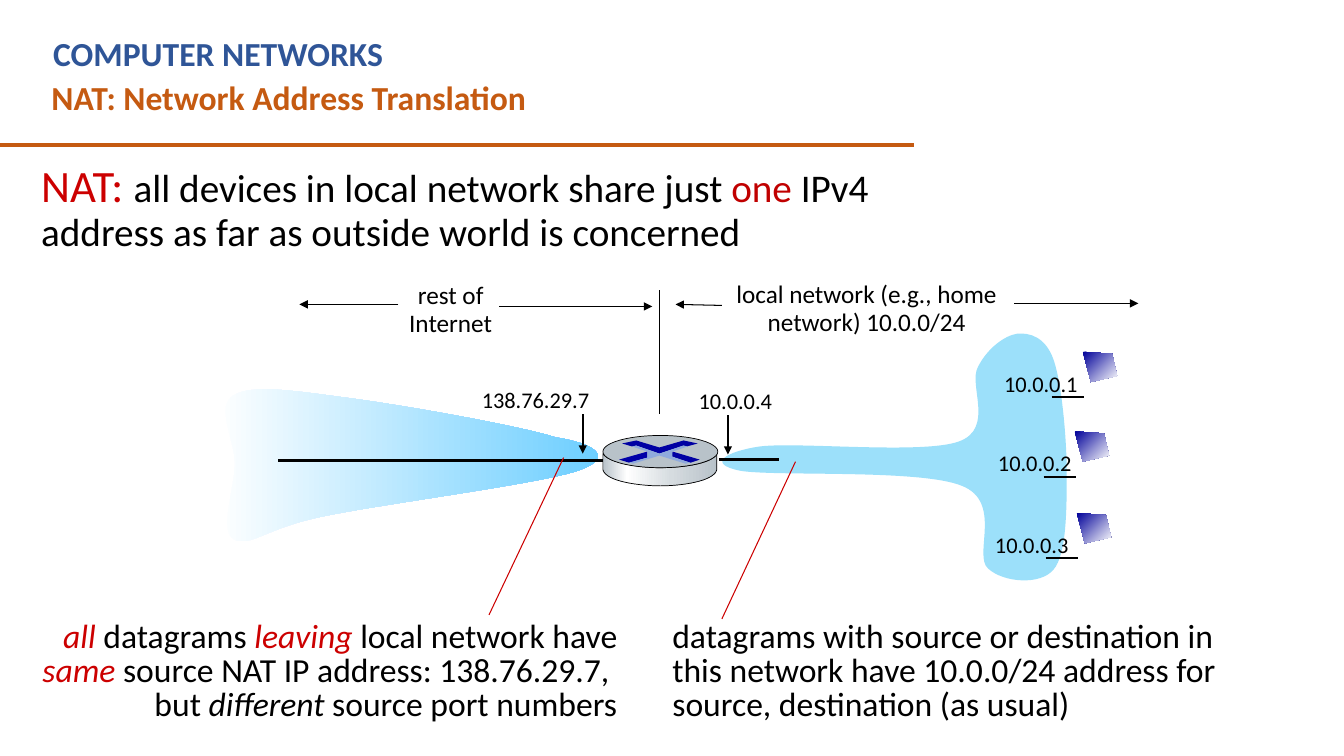
from dataclasses import dataclass
from typing import Optional, Sequence

from lxml import etree
from pptx import Presentation
from pptx.dml.color import RGBColor
from pptx.enum import shapes, text
from pptx.oxml import ns
from pptx.util import Inches, Pt

COLORS = {
    "black": "000000", "white": "FFFFFF", "blue": "2F5597", "orange": "C55A11",
    "red": "CC0000", "dark red": "C00000", "lan": "9CE0FA", "internet": "66CCFF",
    "screen": "000099", "steel": "B8C2C9", "light steel": "D6DCE0",
    "arrow": "0000A3", "left arrow": "0000A8", "arrow shade": "8FAADC",
}
FONT = "Calibri"
LEFT, CENTER, RIGHT = text.PP_ALIGN.LEFT, text.PP_ALIGN.CENTER, text.PP_ALIGN.RIGHT


@dataclass
class Run:
    words: str
    color: str = "black"
    italic: bool = False
    size: Optional[float] = None


@dataclass
class Gradient:
    stops: Sequence[tuple[int, str]]
    clockwise: int = 0


@dataclass
class Outline:
    """Start point, then points (x, y) for lines or six numbers for cubic curves."""
    steps: Sequence[tuple]
    fill: "str | Gradient"
    line: Optional[str] = None


@dataclass
class Link:
    start: tuple[float, float]
    end: tuple[float, float]
    width: float = 0.75
    color: str = "black"
    arrow: bool = False


@dataclass
class Host:
    address: str
    label_left: float
    x: float
    y: float


def rgb(name: str) -> RGBColor:
    return RGBColor.from_string(COLORS[name])


def write(box, paragraphs: Sequence, size: float = 24, color: str = "black",
          bold: bool = False, align=LEFT, spacing: float = 1.0,
          wrap: bool = True, indent: float = 0) -> None:
    """Fill a box; each paragraph is a string or a list of Run."""
    frame = box.text_frame
    frame.word_wrap = wrap
    frame.auto_size = text.MSO_AUTO_SIZE.SHAPE_TO_FIT_TEXT
    frame.vertical_anchor = text.MSO_ANCHOR.TOP
    for index, content in enumerate(paragraphs):
        paragraph = frame.add_paragraph() if index else frame.paragraphs[0]
        paragraph.alignment, paragraph.line_spacing = align, spacing
        paragraph.space_before = Pt(0)
        if indent:
            paragraph._p.get_or_add_pPr().set("marL", str(Inches(indent)))
        for part in [Run(content, color)] if isinstance(content, str) else content:
            run = paragraph.add_run()
            run.text = part.words
            font = run.font
            font.name, font.size = FONT, Pt(part.size or size)
            font.bold, font.italic = bold, part.italic
            font.color.rgb = rgb(part.color)


def add_text(slide, at: tuple, paragraphs: Sequence, **style) -> None:
    write(slide.shapes.add_textbox(*map(Inches, at)), paragraphs, **style)


def add_link(slide, link: Link) -> None:
    ends = map(Inches, (*link.start, *link.end))
    connector = slide.shapes.add_connector(shapes.MSO_CONNECTOR.STRAIGHT, *ends)
    connector.line.color.rgb = rgb(link.color)
    connector.line.width = Pt(link.width)
    if link.arrow:
        etree.SubElement(connector.line._get_or_add_ln(), ns.qn("a:tailEnd"), type="triangle")
    etree.SubElement(connector._element.spPr, ns.qn("a:effectLst"))


def paint(shape, fill, line: Optional[str]) -> None:
    shape.shadow.inherit = False
    if isinstance(fill, Gradient):
        shape.fill.gradient()
        shape.fill.gradient_angle = -fill.clockwise % 360
        stop_list = shape._element.spPr.find(f".//{ns.qn('a:gsLst')}")
        for old in list(stop_list):
            stop_list.remove(old)
        for percent, name in fill.stops:
            stop = etree.SubElement(stop_list, ns.qn("a:gs"), pos=str(percent * 1000))
            etree.SubElement(stop, ns.qn("a:srgbClr"), val=COLORS[name])
    else:
        shape.fill.solid()
        shape.fill.fore_color.rgb = rgb(fill)
    if line:
        shape.line.color.rgb = rgb(line)
        shape.line.width = Pt(0.5)
    else:
        shape.line.fill.background()


def add_outline(slide, outline: Outline) -> None:
    """Build with all points, then join each curve's three points into one cubic."""
    points = [(step[i] * 1000, step[i + 1] * 1000)
              for step in outline.steps for i in range(0, len(step), 2)]
    builder = slide.shapes.build_freeform(*points[0], scale=Inches(1) / 1000)
    builder.add_line_segments(points[1:], close=True)
    shape = builder.convert_to_shape()
    segments = iter(shape._element.spPr.findall(f".//{ns.qn('a:lnTo')}"))
    for step in outline.steps[1:]:
        segment = next(segments)
        if len(step) == 6:
            segment.addprevious(curve := etree.Element(ns.qn("a:cubicBezTo")))
            for piece in (segment, next(segments), next(segments)):
                curve.append(piece[0])
                piece.getparent().remove(piece)
    paint(shape, outline.fill, outline.line)


LAN = Outline([
    (7.53, 4.43), (7.9, 4.38, 9.15, 4.51, 9.51, 4.38), (9.87, 4.25, 9.6, 3.82, 9.7, 3.64),
    (9.79, 3.46, 9.96, 3.33, 10.09, 3.31), (10.21, 3.3, 10.37, 3.34, 10.45, 3.57),
    (10.53, 3.8, 10.58, 4.35, 10.58, 4.69), (10.58, 5.04, 10.58, 5.5, 10.45, 5.65),
    (10.32, 5.81, 9.95, 5.78, 9.8, 5.64), (9.65, 5.51, 9.95, 4.98, 9.54, 4.82),
    (9.13, 4.65, 7.67, 4.73, 7.34, 4.67), (7, 4.6, 7.2, 4.48, 7.53, 4.43)], "lan")
INTERNET = Outline([
    (5.51, 4.34), (5.13, 4.22, 3.99, 4.02, 3.46, 3.95), (2.93, 3.88, 2.51, 3.81, 2.32, 3.92),
    (2.13, 4.03, 2.33, 4.36, 2.33, 4.6), (2.33, 4.84, 2.17, 5.27, 2.32, 5.35),
    (2.47, 5.44, 2.65, 5.23, 3.22, 5.12), (3.79, 5, 5.35, 4.8, 5.73, 4.67),
    (6.11, 4.54, 5.9, 4.4, 5.51, 4.34)], Gradient([(0, "white"), (100, "internet")]))
ROUTER_SIDE = Outline([
    (7.11, 4.5), (7.11, 4.66), (7.08, 4.78, 6.74, 4.82, 6.55, 4.82),
    (6.36, 4.82, 6.01, 4.78, 5.98, 4.66), (5.98, 4.62, 5.98, 4.54, 5.98, 4.5),
    (6.03, 4.59, 6.35, 4.64, 6.54, 4.64), (6.73, 4.64, 7.06, 4.61, 7.11, 4.5)],
    Gradient([(0, "steel"), (21, "white"), (60, "light steel"), (100, "steel")]), "black")
ROUTER_ARROWS = [
    Outline([(6.78, 4.37), (6.92, 4.4), (6.81, 4.43), (6.78, 4.42), (6.54, 4.5), (6.31, 4.42),
             (6.27, 4.43), (6.17, 4.4), (6.31, 4.37), (6.54, 4.44)], "arrow"),
    Outline([(6.67, 4.48), (6.94, 4.56), (6.85, 4.59), (6.66, 4.53)], "arrow"),
    Outline([(6.42, 4.48), (6.42, 4.54), (6.24, 4.59), (6.14, 4.56)], "left arrow"),
    Outline([(6.27, 4.43), (6.31, 4.42), (6.54, 4.5), (6.78, 4.42), (6.82, 4.43), (6.67, 4.48),
             (6.67, 4.53), (6.84, 4.59), (6.8, 4.6), (6.54, 4.52), (6.28, 4.6), (6.24, 4.59),
             (6.42, 4.54), (6.42, 4.48)], "arrow shade")]
HOSTS = [Host("10.0.0.1", 9.86, 10.74, 3.49), Host("10.0.0.2", 9.8, 10.66, 4.28),
         Host("10.0.0.3", 9.77, 10.68, 5.09)]
SCREEN_CORNERS = [(0, 0), (0.29, 0.02), (0.34, 0.24), (0.08, 0.3)]
SCREEN_FILL = Gradient([(0, "screen"), (100, "white")], 45)
LINKS = [
    Link((-0.01, 1.44), (9.07, 1.44), 3, "orange"),
    Link((7.22, 4.12), (7.22, 4.51), 1.5, arrow=True),
    Link((5.78, 4.11), (5.78, 4.5), 1.5, arrow=True),
    Link((10.06, 3.01), (11.29, 3.01), arrow=True),
    Link((7.16, 3.03), (6.7, 3.02), arrow=True),
    Link((4.95, 3.04), (6.47, 3.04), arrow=True),
    Link((3.95, 3.02), (2.97, 3.02), arrow=True),
    Link((6.54, 2.88), (6.54, 4.11)),
    Link((2.76, 4.57), (5.98, 4.57), 2),
    Link((7.13, 4.56), (7.73, 4.56), 2),
    Link((7.16, 6.14), (7.89, 4.58), color="red"),
    Link((4.85, 6.1), (5.59, 4.54), color="red")]


def main() -> None:
    deck = Presentation()
    deck.slide_width, deck.slide_height = Inches(13.33), Inches(7.5)
    slide = deck.slides.add_slide(deck.slide_layouts[5])
    title = slide.shapes.title
    title.left, title.top, title.width, title.height = map(Inches, (0.41, 0.71, 8.75, 0.5))
    write(title, ["NAT: Network Address Translation"], color="orange", bold=True)
    add_text(slide, (0.43, 0.28, 8.2, 0.5), ["COMPUTER NETWORKS"], color="blue", bold=True)
    add_text(slide, (0.05, 1.58, 9.62, 1.01), [[
        Run("NAT: ", "red", size=32), Run("all devices in local network share just "),
        Run("one", "dark red"), Run(" IPv4 address as far as outside world is concerned")]],
        size=28, spacing=0.9, indent=0.26)

    for cloud in (LAN, INTERNET):
        add_outline(slide, cloud)
    for host in HOSTS:
        corners = [(host.x + dx, host.y + dy) for dx, dy in SCREEN_CORNERS]
        add_outline(slide, Outline(corners, SCREEN_FILL))
        cable_x, cable_y = host.x - 0.31, host.y + 0.45
        add_link(slide, Link((cable_x, cable_y), (cable_x + 0.32, cable_y), 1.5))
        add_text(slide, (host.label_left, host.y + 0.13, 0.94, 0.39), [host.address],
                 size=16, wrap=False)
    for link in LINKS:
        add_link(slide, link)

    add_outline(slide, ROUTER_SIDE)
    router_top = slide.shapes.add_shape(shapes.MSO_SHAPE.OVAL,
                                        *map(Inches, (5.98, 4.32, 1.14, 0.32)))
    paint(router_top, "steel", "black")
    for arrow in ROUTER_ARROWS:
        add_outline(slide, arrow)

    add_text(slide, (6.83, 3.79, 0.94, 0.39), ["10.0.0.4"], size=16, wrap=False)
    add_text(slide, (4.68, 3.78, 1.28, 0.39), ["138.76.29.7"], size=16, wrap=False)
    add_text(slide, (3.95, 2.76, 1.04, 0.67), ["rest of", "Internet"],
             size=18, align=CENTER, spacing=0.9, wrap=False)
    add_text(slide, (7.06, 2.75, 3.07, 0.62), ["local network (e.g., home network) 10.0.0/24"],
             size=18, align=CENTER, spacing=0.9)
    add_text(slide, (0.17, 6.11, 6.05, 1.13), [[
        Run("all ", "red", True), Run("datagrams "), Run("leaving", "red", True),
        Run(" local network have "), Run("same", "red", True),
        Run(" source NAT IP address: 138.76.29.7,  but "), Run("different", italic=True),
        Run(" source port numbers")]], align=RIGHT, spacing=0.85)
    add_text(slide, (6.57, 6.11, 5.99, 1.13),
             ["datagrams with source or destination in this network have 10.0.0/24 "
              "address for source, destination (as usual)"], spacing=0.85)
    deck.save("out.pptx")


if __name__ == "__main__":
    main()
